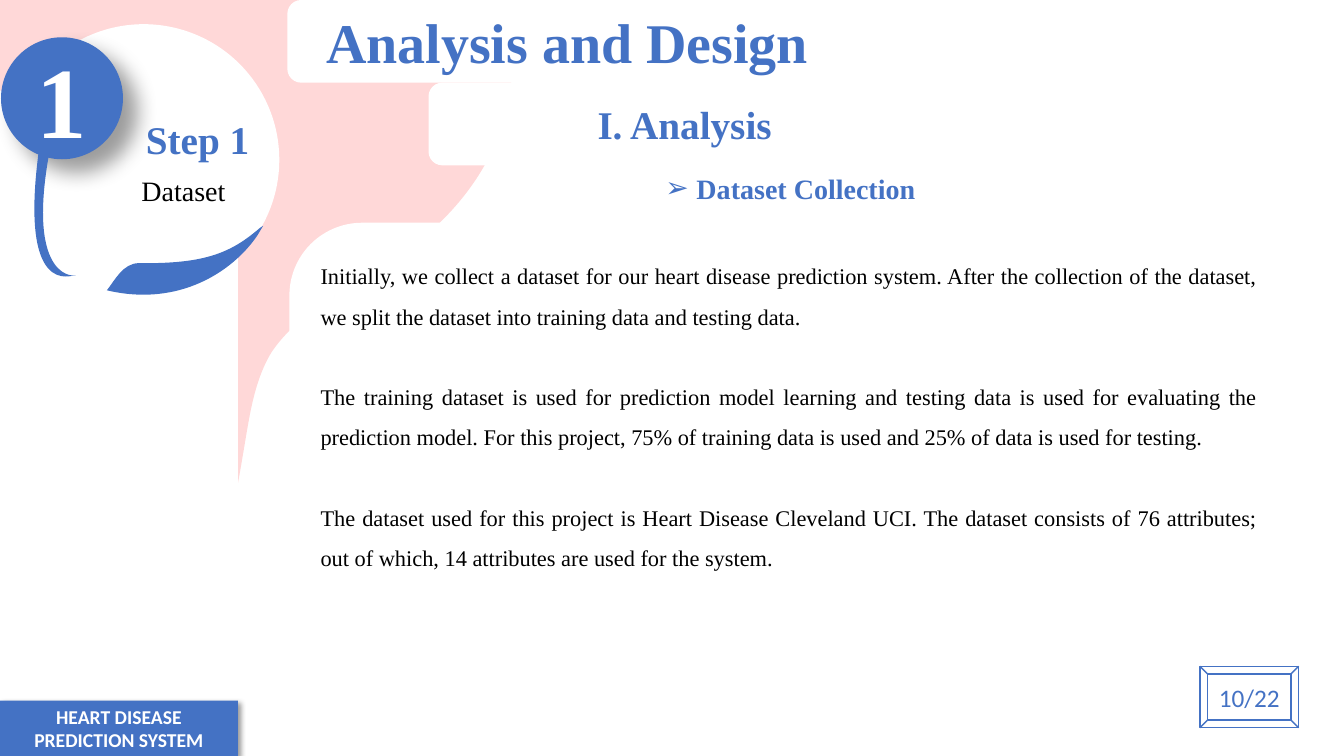
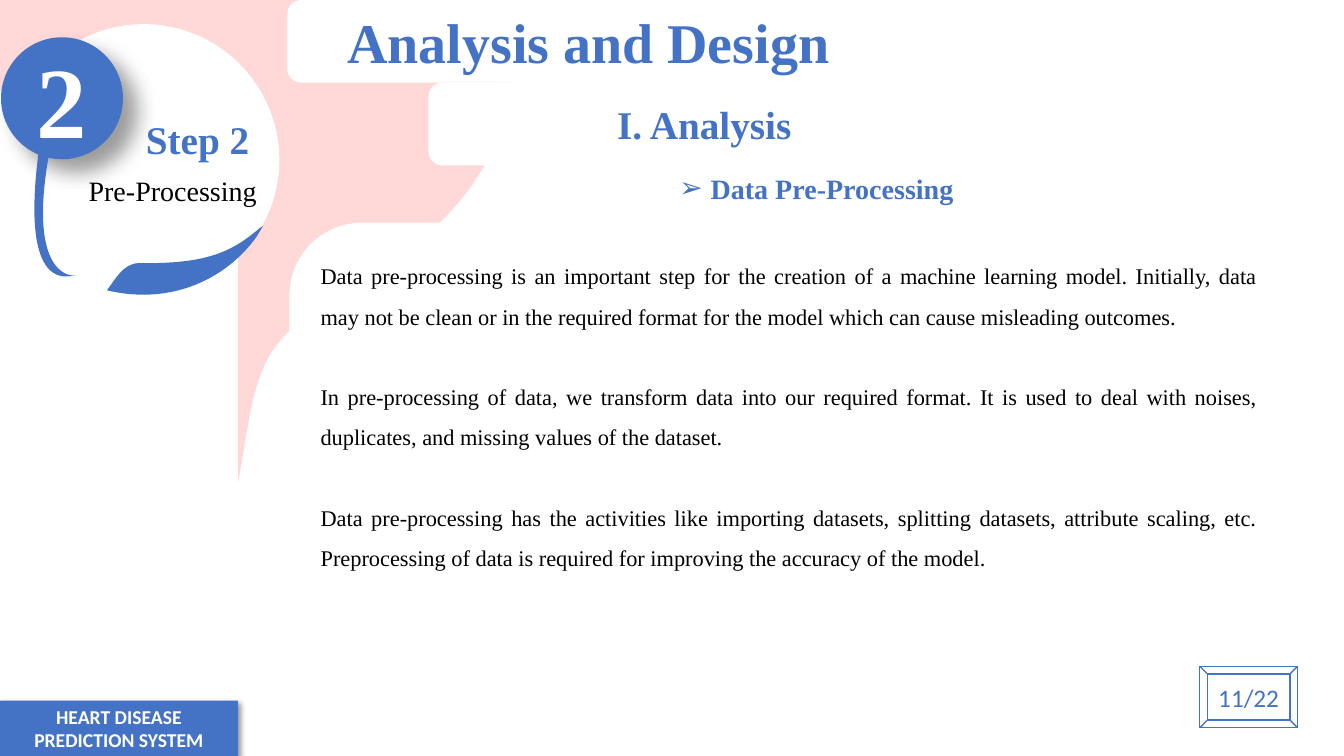
from lxml.etree import SubElement
from pptx import Presentation
from pptx.dml.color import RGBColor
from pptx.enum.shapes import MSO_SHAPE as Shape
from pptx.enum.text import MSO_ANCHOR as Anchor, MSO_AUTO_SIZE as AutoSize, PP_ALIGN as Align
from pptx.oxml.ns import qn
from pptx.util import Inches, Pt

BLUE = RGBColor(0x44, 0x72, 0xC4)
PINK = RGBColor(0xFF, 0xD8, 0xD8)
WHITE = RGBColor(0xFF, 0xFF, 0xFF)
BLACK = RGBColor(0, 0, 0)
SERIF, SANS = "Times New Roman", "Calibri"

WIDTH, HEIGHT = 13.33, 7.5
SIDE = 2.36
BAND = 0.82
TOTAL = 22
UNITS = 1000

STEPS = [
    dict(
        number=1, page=10, name="Dataset", name_box=(0.98, 1.67, 1.68, 0.43), name_align=Align.CENTER,
        title_width=5.55, section_width=5.08, badge_width=0.98,
        topic="Dataset Collection", topic_box=(6.5, 1.65, 2.7, 0.44), backing=None,
        body=[
            "Initially, we collect a dataset for our heart disease prediction system. After the "
            "collection of the dataset, we split the dataset into training data and testing data.",
            "The training dataset is used for prediction model learning and testing data is used for "
            "evaluating the prediction model. For this project, 75% of training data is used and 25% "
            "of data is used for testing.",
            "The dataset used for this project is Heart Disease Cleveland UCI. The dataset consists of "
            "76 attributes; out of which, 14 attributes are used for the system.",
        ],
    ),
    dict(
        number=2, page=11, name="Pre-Processing", name_box=(0.78, 1.67, 1.89, 0.43), name_align=Align.LEFT,
        title_width=5.97, section_width=5.47, badge_width=0.97,
        topic="Data Pre-Processing", topic_box=(6.64, 1.65, 2.94, 0.44), backing=(4.73, 2.1, 4.52, 1.15),
        body=[
            "Data pre-processing is an important step for the creation of a machine learning model. "
            "Initially, data may not be clean or in the required format for the model which can cause "
            "misleading outcomes.",
            "In pre-processing of data, we transform data into our required format. It is used to deal "
            "with noises, duplicates, and missing values of the dataset.",
            "Data pre-processing has the activities like importing datasets, splitting datasets, "
            "attribute scaling, etc. Preprocessing of data is required for improving the accuracy of "
            "the model.",
        ],
    ),
]

BLOB_BOX = (-0.09, -0.05, 5.17, 7.19)
BLOB = [
    (5.08, 0.63),
    (5.08, 0.9, 5.02, 1.17, 4.92, 1.41),
    (4.71, 1.91, 4.31, 2.32, 3.85, 2.61),
    (3.44, 2.89, 2.96, 3.09, 2.69, 3.5),
    (2.51, 3.8, 2.47, 4.17, 2.41, 4.51),
    (2.34, 4.93, 2.26, 5.35, 2.1, 5.74),
    (1.94, 6.13, 1.69, 6.5, 1.34, 6.74),
    (0.93, 7.03, 0.41, 7.12, -0.09, 7.14),
    (-0.09, 0.1),
    (-0.09, 0.03, -0.02, -0.05, 0.06, -0.05),
    (4.94, -0.05),
    (5.04, 0.17, 5.08, 0.4, 5.08, 0.63),
]
SWOOSH_BOX = (1.06, 2.24, 1.55, 0.69)
SWOOSH = [
    (1.06, 2.88),
    (1.14, 2.78, 1.22, 2.61, 1.38, 2.61),
    (2.05, 2.62, 2.3, 2.5, 2.58, 2.26),
    (2.61, 2.24),
    (2.55, 2.34),
    (2.31, 2.69, 1.78, 3.05, 1.06, 2.88),
]
TAIL_BOX = (0.33, 1.31, 0.42, 1.43)
TAIL = [
    (0.35, 1.34),
    (0.57, 1.46),
    (0.59, 1.49, 0.53, 1.45, 0.49, 1.51),
    (0.25, 2.82, 0.77, 2.74, 0.75, 2.73),
    (0.71, 2.73, 0.18, 2.97, 0.39, 1.46),
    (0.29, 1.25, 0.35, 1.32, 0.35, 1.34),
]


def paint(shape, fill=None, line=None):
    shape.shadow.inherit = False
    if fill is None:
        shape.fill.background()
    else:
        shape.fill.solid()
        shape.fill.fore_color.rgb = fill
    if line is None:
        shape.line.fill.background()
    else:
        shape.line.color.rgb = line
        shape.line.width = Pt(1)
    return shape


def add_block(page, kind, box, fill=None, line=None):
    return paint(page.shapes.add_shape(kind, *map(Inches, box)), fill, line)


def add_outline(page, box, segments, fill):
    left, top, width, height = (round(value * UNITS) for value in box)
    right, bottom = left + width, top + height
    builder = page.shapes.build_freeform(left, top, scale=Inches(1) / UNITS)
    builder.add_line_segments([(right, top), (right, bottom), (left, bottom)], close=True)
    shape = builder.convert_to_shape()
    outline = shape.element.spPr.find(".//" + qn("a:path"))
    for child in list(outline):
        outline.remove(child)
    for index, segment in enumerate(segments):
        tag = "a:moveTo" if index == 0 else "a:lnTo" if len(segment) == 2 else "a:cubicBezTo"
        command = SubElement(outline, qn(tag))
        for x, y in zip(segment[::2], segment[1::2]):
            SubElement(command, qn("a:pt"), x=str(round(x * UNITS) - left), y=str(round(y * UNITS) - top))
    SubElement(outline, qn("a:close"))
    return paint(shape, fill)


def add_shadow(shape, alpha, blur, distance, angle):
    effects = shape.element.spPr.find(qn("a:effectLst"))
    shadow = SubElement(effects, qn("a:outerShdw"), blurRad=str(Pt(blur)), dist=str(Pt(distance)),
                        dir=str(angle * 60000), algn="tl", rotWithShape="0")
    color = SubElement(shadow, qn("a:srgbClr"), val=str(BLACK))
    SubElement(color, qn("a:alpha"), val=str(alpha * 1000))


def write(shape, texts, size, color, font=SERIF, bold=False, align=Align.CENTER):
    frame = shape.text_frame
    frame.word_wrap = True
    for index, text in enumerate(texts):
        para = frame.add_paragraph() if index else frame.paragraphs[0]
        para.alignment = align
        span = para.add_run()
        span.text = text
        span.font.name = font
        span.font.size = Pt(size)
        span.font.bold = bold
        span.font.color.rgb = color
    return frame


def add_label(page, box, text, size, color, **style):
    label = page.shapes.add_textbox(*map(Inches, box))
    return write(label, [text], size, color, **style)


def add_bullet(para, indent):
    props = para._p.get_or_add_pPr()
    props.set("marL", str(Inches(indent)))
    props.set("indent", str(-Inches(indent)))
    SubElement(props, qn("a:buFont"), typeface="Arial")
    SubElement(props, qn("a:buChar"), char="➢")


def add_headings(page, step):
    title = add_block(page, Shape.ROUNDED_RECTANGLE, (2.85, 0, step["title_width"], BAND), WHITE)
    write(title, ["Analysis and Design"], 40, BLUE, bold=True)
    section = add_block(page, Shape.ROUNDED_RECTANGLE, (4.25, BAND, step["section_width"], BAND), WHITE)
    write(section, ["I. Analysis"], 28, BLUE, bold=True)


def add_side(page, step):
    panel = add_block(page, Shape.ROUND_2_SAME_RECTANGLE, (-2.12, 3.02, 6.6, SIDE), WHITE)
    panel.rotation = 90
    footer = add_block(page, Shape.RECTANGLE, (0, 6.95, SIDE, 0.55), BLUE)
    add_shadow(footer, 40, 4, 3, 45)
    write(footer, ["HEART DISEASE PREDICTION SYSTEM"], 14, WHITE, font=SANS, bold=True)
    add_block(page, Shape.OVAL, (0.08, 0.24, 2.69, 2.69), WHITE)
    disc = add_block(page, Shape.OVAL, (0.01, 0.37, 1.21, 1.21), BLUE)
    add_shadow(disc, 38, 15, 14, 44)
    write(disc, [str(step["number"])], 72, WHITE, bold=True)
    add_outline(page, SWOOSH_BOX, SWOOSH, BLUE)
    add_outline(page, TAIL_BOX, TAIL, BLUE)
    add_label(page, step["name_box"], step["name"], 20, BLACK, align=step["name_align"])
    add_label(page, (0.98, 1.09, 1.96, 0.57), f"Step {step['number']}", 28, BLUE, bold=True)


def add_content(page, step):
    topic = add_label(page, step["topic_box"], step["topic"], 20, BLUE, bold=True, align=Align.LEFT)
    topic.word_wrap = False
    topic.auto_size = AutoSize.SHAPE_TO_FIT_TEXT
    add_bullet(topic.paragraphs[0], 0.31)
    if step["backing"]:
        add_block(page, Shape.RECTANGLE, step["backing"], WHITE)
    badge = add_block(page, Shape.BEVEL, (11.9, 6.61, step["badge_width"], 0.61), line=BLUE)
    write(badge, [f"{step['page']}/{TOTAL}"], 18, BLUE, font=SANS)
    body = add_block(page, Shape.ROUNDED_RECTANGLE, (2.87, 2.21, 9.91, 4.33), WHITE)
    frame = write(body, step["body"], 16, BLACK, align=Align.JUSTIFY)
    frame.vertical_anchor = Anchor.TOP
    for index, para in enumerate(frame.paragraphs):
        para.line_spacing = 1.5
        para.space_before = Pt(28.8 if index else 0)


def main():
    deck = Presentation()
    deck.slide_width, deck.slide_height = Inches(WIDTH), Inches(HEIGHT)
    blank = deck.slide_layouts[6]
    for step in STEPS:
        page = deck.slides.add_slide(blank)
        if step is STEPS[0]:
            blank.shapes.element.append(add_outline(page, BLOB_BOX, BLOB, PINK).element)
        add_headings(page, step)
        add_side(page, step)
        add_content(page, step)
    deck.save("out.pptx")


if __name__ == "__main__":
    main()
